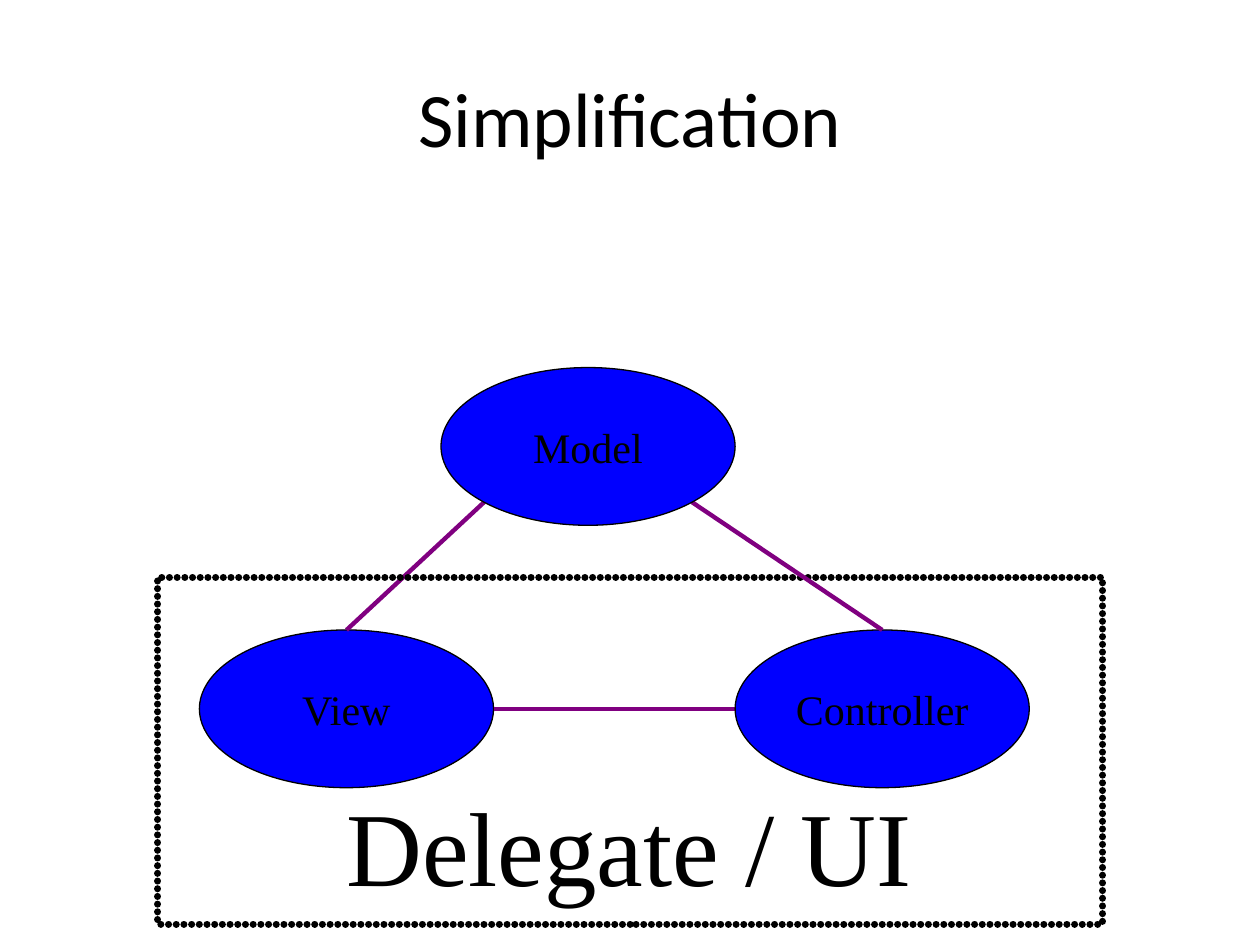
"""Build the Simplification slide: a model linked to a delegate made of view and controller."""
from dataclasses import dataclass

from lxml.etree import SubElement
from pptx import Presentation
from pptx.dml.color import RGBColor
from pptx.enum.shapes import MSO_CONNECTOR as Connector, MSO_SHAPE as Preset
from pptx.enum.text import MSO_ANCHOR as Anchor, PP_ALIGN as Align
from pptx.oxml.ns import qn
from pptx.shapes.autoshape import Shape
from pptx.slide import Slide
from pptx.util import Cm, Pt


@dataclass(frozen=True)
class Theme:
    """Colours, fonts, type sizes and line widths."""
    ink: RGBColor = RGBColor(0, 0, 0)
    node: RGBColor = RGBColor(0, 0, 255)
    link: RGBColor = RGBColor(128, 0, 128)
    title_font: str = "Calibri"
    body_font: str = "Times New Roman"
    title_size: int = 44
    node_size: int = 24
    frame_size: int = 60
    outline: float = 0.75
    link_width: float = 2.5
    frame_width: float = 4


@dataclass(frozen=True)
class Node:
    """An ellipse of the common size, in centimetres."""
    label: str
    left: float
    top: float
    width: float = 5.93
    height: float = 3.18

    def point(self, across: float, down: float) -> tuple[float, float]:
        """Return a point given as fractions of the ellipse's box."""
        return self.left + across * self.width, self.top + down * self.height


THEME = Theme()
MODEL = Node("Model", 8.89, 7.41)
VIEW = Node("View", 4.02, 12.7)
CONTROLLER = Node("Controller", 14.82, 12.7)
DIAGONAL = 0.5 ** 0.5 / 2


def write(box: Shape, text: str, font: str, size: int, align: Align = Align.CENTER,
          anchor: Anchor = Anchor.MIDDLE, wrap: bool = False) -> None:
    """Set the single paragraph of a box."""
    frame = box.text_frame
    frame.word_wrap = wrap
    frame.vertical_anchor = anchor
    para = frame.paragraphs[0]
    para.text = text
    para.alignment = align
    para.font.name = font
    para.font.size = Pt(size)
    para.font.color.rgb = THEME.ink


def add_node(page: Slide, node: Node) -> None:
    """Draw one labelled ellipse."""
    ellipse = page.shapes.add_shape(
        Preset.OVAL, Cm(node.left), Cm(node.top), Cm(node.width), Cm(node.height))
    ellipse.shadow.inherit = False
    ellipse.fill.solid()
    ellipse.fill.fore_color.rgb = THEME.node
    ellipse.line.color.rgb = THEME.ink
    ellipse.line.width = Pt(THEME.outline)
    write(ellipse, node.label, THEME.body_font, THEME.node_size)


def add_link(page: Slide, start: tuple[float, float], end: tuple[float, float]) -> None:
    """Draw one straight link."""
    link = page.shapes.add_connector(Connector.STRAIGHT, *map(Cm, start + end))
    link.line.color.rgb = THEME.link
    link.line.width = Pt(THEME.link_width)
    SubElement(link._element.spPr, qn("a:effectLst"))


def add_frame(page: Slide) -> None:
    """Draw the delegate's frame of closely set round dots."""
    frame = page.shapes.add_shape(Preset.RECTANGLE, Cm(3.18), Cm(11.64), Cm(19.05), Cm(6.99))
    frame.shadow.inherit = False
    frame.fill.background()
    frame.line.color.rgb = THEME.ink
    frame.line.width = Pt(THEME.frame_width)
    outline = frame.line._get_or_add_ln()
    outline.set("cap", "rnd")
    dashes = SubElement(outline, qn("a:custDash"))
    SubElement(dashes, qn("a:ds"), d="100000", sp="10000")


def main() -> None:
    """Build and save the deck."""
    deck = Presentation()
    deck.slide_width, deck.slide_height = Cm(25.4), Cm(19.05)
    page = deck.slides.add_slide(deck.slide_layouts[6])

    title = page.shapes.add_textbox(Cm(1.27), Cm(0.76), Cm(22.86), Cm(3.18))
    write(title, "Simplification", THEME.title_font, THEME.title_size, wrap=True)

    add_node(page, VIEW)
    add_link(page, VIEW.point(0.5, 0), MODEL.point(0.5 - DIAGONAL, 0.5 + DIAGONAL))
    add_link(page, VIEW.point(1, 0.5), CONTROLLER.point(0, 0.5))
    add_frame(page)
    caption = page.shapes.add_textbox(Cm(6.73), Cm(15.62), Cm(11.91), Cm(2.79))
    write(caption, "Delegate / UI", THEME.body_font, THEME.frame_size, Align.LEFT, Anchor.TOP)
    add_node(page, CONTROLLER)
    add_link(page, CONTROLLER.point(0.5, 0), MODEL.point(0.5 + DIAGONAL, 0.5 + DIAGONAL))
    add_node(page, MODEL)

    deck.save("out.pptx")


if __name__ == "__main__":
    main()
